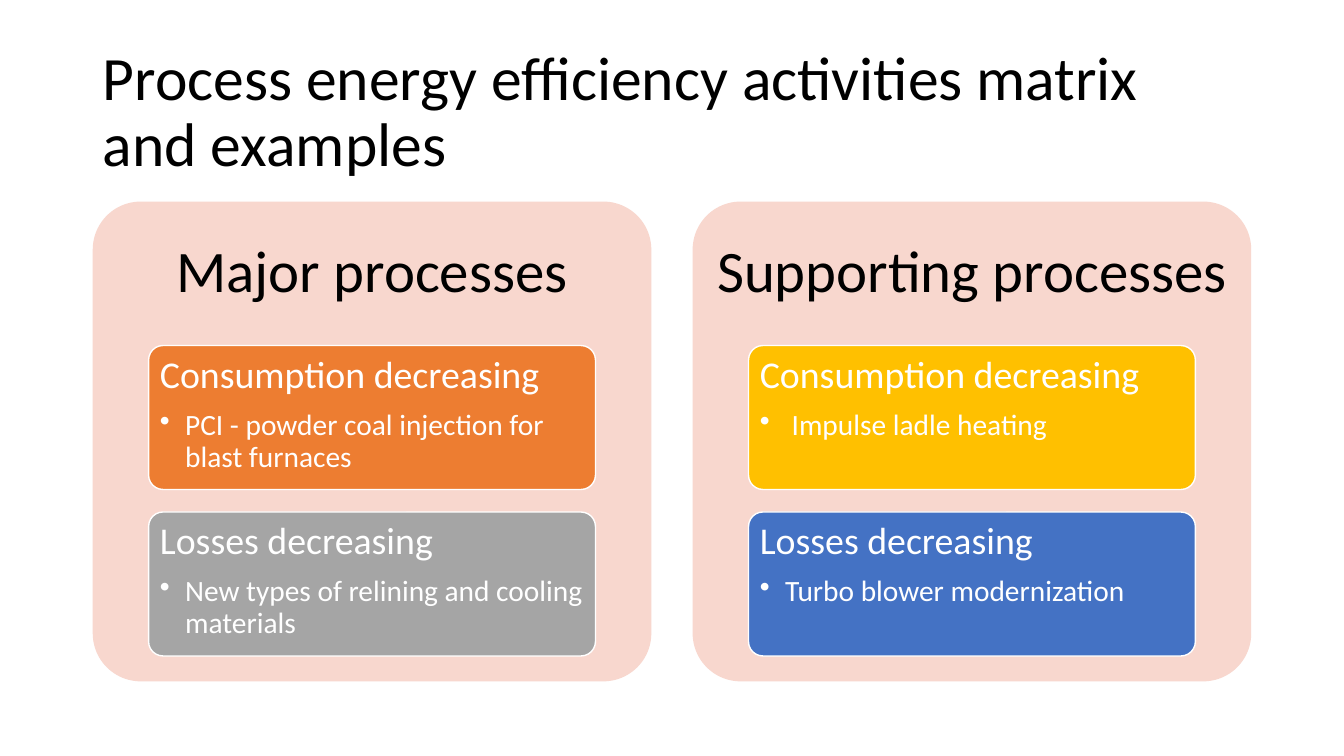
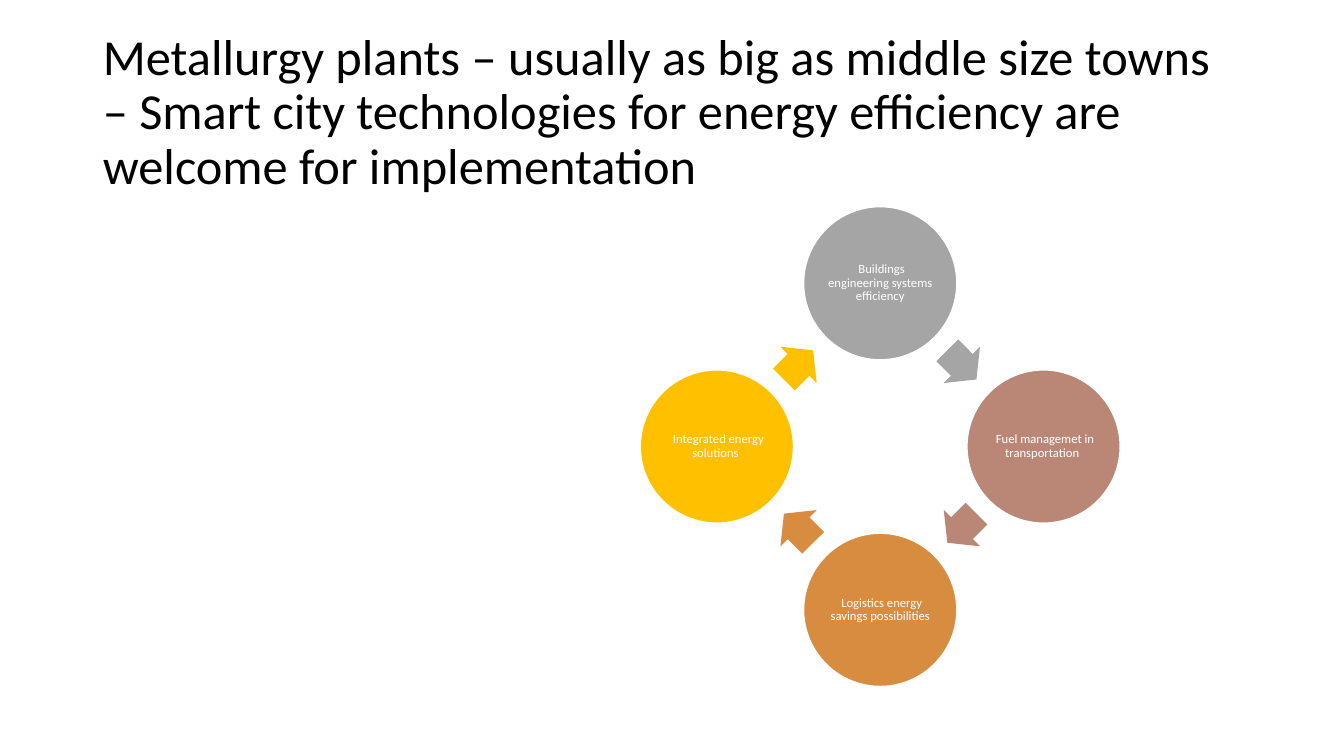
from dataclasses import dataclass
from math import cos, radians, sin

from lxml.etree import SubElement
from pptx import Presentation
from pptx.dml.color import RGBColor
from pptx.enum.shapes import MSO_SHAPE
from pptx.enum.text import MSO_ANCHOR, MSO_AUTO_SIZE, PP_ALIGN
from pptx.oxml.ns import qn
from pptx.util import Emu, Inches, Pt


@dataclass(frozen=True)
class Theme:
    font: str = "Calibri"
    ink: str = "000000"
    paper: str = "FFFFFF"
    panel: str = "F8D7CE"
    orange: str = "ED7D31"
    grey: str = "A5A5A5"
    gold: str = "FFC000"
    blue: str = "4472C4"
    rose: str = "BA8777"
    amber: str = "D88C3F"
    title_size: int = 44
    long_title_size: int = 36
    panel_size: int = 42
    card_size: int = 27
    bullet_size: int = 21
    node_size: int = 9
    line_spacing: float = 0.9


@dataclass(frozen=True)
class Area:
    """A rectangle in inches."""
    left: float
    top: float
    width: float
    height: float

    def share(self, x: float, y: float, width: float, height: float) -> "Area":
        """Return a part of this area, given as shares of its size."""
        return Area(self.left + x * self.width, self.top + y * self.height,
                    width * self.width, height * self.height)

    def emu(self) -> tuple[Emu, ...]:
        return tuple(Inches(value) for value in
                     (self.left, self.top, self.width, self.height))


@dataclass(frozen=True)
class Card:
    heading: str
    example: str
    color: str


@dataclass(frozen=True)
class Panel:
    heading: str
    cards: tuple[Card, ...]


@dataclass(frozen=True)
class Node:
    label: str
    color: str


THEME = Theme()
SLIDE_WIDTH, SLIDE_HEIGHT = 13.33, 7.5
TITLE_AREA = Area(0.92, 0.4, 11.5, 1.45)

# Matrix grid
FIRST_PANEL = Area(0.92, 2, 5.54, 4.76)
PANEL_PITCH = 5.95
HEADER_SHARE = 0.3
CARD_PITCH_SHARE = 0.347
BULLET_INDENT = 0.25

# Cycle ring
RING_X, RING_Y, RING_RADIUS = 8.73, 4.43, 1.62
NODE_SIZE = 1.52
ARROW_WIDTH, ARROW_HEIGHT = 0.41, 0.51

PANELS = (
    Panel("Major processes", (
        Card("Consumption decreasing",
             "PCI - powder coal injection for blast furnaces", THEME.orange),
        Card("Losses decreasing",
             "New types of relining and cooling materials", THEME.grey),
    )),
    Panel("Supporting processes", (
        Card("Consumption decreasing", " Impulse ladle heating", THEME.gold),
        Card("Losses decreasing", "Turbo blower modernization", THEME.blue),
    )),
)

# Clockwise from the top
NODES = (
    Node(" Buildings engineering systems efficiency", THEME.grey),
    Node(" Fuel managemet in transportation ", THEME.rose),
    Node(" Logistics energy savings possibilities", THEME.amber),
    Node(" Integrated energy solutions ", THEME.gold),
)


def set_frame(frame, horizontal: float, vertical: float, anchor) -> None:
    settings = {
        "margin_left": Inches(horizontal), "margin_right": Inches(horizontal),
        "margin_top": Inches(vertical), "margin_bottom": Inches(vertical),
        "vertical_anchor": anchor, "word_wrap": True,
        "auto_size": MSO_AUTO_SIZE.NONE,
    }
    for name, value in settings.items():
        setattr(frame, name, value)


def write(para, text: str, size: int, color: str,
          align=PP_ALIGN.LEFT, after: float = 0) -> None:
    settings = {"alignment": align, "line_spacing": THEME.line_spacing,
                "space_before": Pt(0), "space_after": Pt(after)}
    for name, value in settings.items():
        setattr(para, name, value)
    span = para.add_run()
    span.text = text
    span.font.name = THEME.font
    span.font.size = Pt(size)
    span.font.color.rgb = RGBColor.from_string(color)


def add_bullet(para) -> None:
    properties = para._p.get_or_add_pPr()
    properties.set("marL", str(Inches(BULLET_INDENT)))
    properties.set("indent", str(-Inches(BULLET_INDENT)))
    SubElement(properties, qn("a:buChar")).set("char", "•")


def add_shape(page, kind, area: Area, fill: str, outlined: bool = False):
    shape = page.shapes.add_shape(kind, *area.emu())
    shape.shadow.inherit = False
    shape.fill.solid()
    shape.fill.fore_color.rgb = RGBColor.from_string(fill)
    if outlined:
        shape.line.color.rgb = RGBColor.from_string(THEME.paper)
        shape.line.width = Pt(1)
    else:
        shape.line.fill.background()
    return shape


def add_rounded(page, area: Area, fill: str, outlined: bool = False):
    box = add_shape(page, MSO_SHAPE.ROUNDED_RECTANGLE, area, fill, outlined)
    box.adjustments[0] = 0.1
    return box


def add_page(deck, title: str, size: int):
    """Add a title-only page with the shared title style."""
    page = deck.slides.add_slide(deck.slide_layouts.get_by_name("Title Only"))
    box = page.shapes.title
    box.left, box.top, box.width, box.height = TITLE_AREA.emu()
    set_frame(box.text_frame, 0.1, 0.05, MSO_ANCHOR.MIDDLE)
    write(box.text_frame.paragraphs[0], title, size, THEME.ink)
    return page


def add_card(page, area: Area, card: Card) -> None:
    frame = add_rounded(page, area, card.color, outlined=True).text_frame
    set_frame(frame, 0.07, 0.06, MSO_ANCHOR.TOP)
    write(frame.paragraphs[0], card.heading, THEME.card_size, THEME.paper,
          after=9.5)
    example = frame.add_paragraph()
    write(example, card.example, THEME.bullet_size, THEME.paper)
    add_bullet(example)


def add_panel(page, area: Area, panel: Panel) -> None:
    add_rounded(page, area, THEME.panel)
    header = page.shapes.add_textbox(*area.share(0, 0, 1, HEADER_SHARE).emu())
    set_frame(header.text_frame, 0.17, 0.17, MSO_ANCHOR.MIDDLE)
    write(header.text_frame.paragraphs[0], panel.heading, THEME.panel_size,
          THEME.ink, PP_ALIGN.CENTER)
    for row, card in enumerate(panel.cards):
        top = HEADER_SHARE + row * CARD_PITCH_SHARE
        add_card(page, area.share(0.1, top, 0.8, 0.3), card)


def centred(x: float, y: float, width: float, height: float) -> Area:
    return Area(x - width / 2, y - height / 2, width, height)


def add_cycle(page, nodes: tuple[Node, ...]) -> None:
    step = 360 / len(nodes)
    # Arrows sit at the middle of the chord between two neighbours
    chord_distance = RING_RADIUS * cos(radians(step / 2))
    for index, node in enumerate(nodes):
        angle = index * step
        area = centred(RING_X + RING_RADIUS * sin(radians(angle)),
                       RING_Y - RING_RADIUS * cos(radians(angle)),
                       NODE_SIZE, NODE_SIZE)
        circle = add_shape(page, MSO_SHAPE.OVAL, area, node.color, True)
        set_frame(circle.text_frame, 0.01, 0.01, MSO_ANCHOR.MIDDLE)
        write(circle.text_frame.paragraphs[0], node.label, THEME.node_size,
              THEME.paper, PP_ALIGN.CENTER)

        heading = angle + step / 2
        area = centred(RING_X + chord_distance * sin(radians(heading)),
                       RING_Y - chord_distance * cos(radians(heading)),
                       ARROW_WIDTH, ARROW_HEIGHT)
        arrow = add_shape(page, MSO_SHAPE.RIGHT_ARROW, area, node.color)
        arrow.adjustments[0], arrow.adjustments[1] = 0.6, 0.5
        arrow.rotation = heading


def main() -> None:
    deck = Presentation()
    deck.slide_width = Inches(SLIDE_WIDTH)
    deck.slide_height = Inches(SLIDE_HEIGHT)

    # Matrix of activities
    page = add_page(deck, "Process energy efficiency activities matrix and examples",
                    THEME.title_size)
    for column, panel in enumerate(PANELS):
        area = Area(FIRST_PANEL.left + column * PANEL_PITCH, FIRST_PANEL.top,
                    FIRST_PANEL.width, FIRST_PANEL.height)
        add_panel(page, area, panel)

    # Cycle of smart city technologies
    page = add_page(deck, "Metallurgy plants – usually as big as middle size towns "
                    "– Smart city technologies for energy efficiency are "
                    "welcome for implementation", THEME.long_title_size)
    add_cycle(page, NODES)

    deck.save("out.pptx")


if __name__ == "__main__":
    main()
